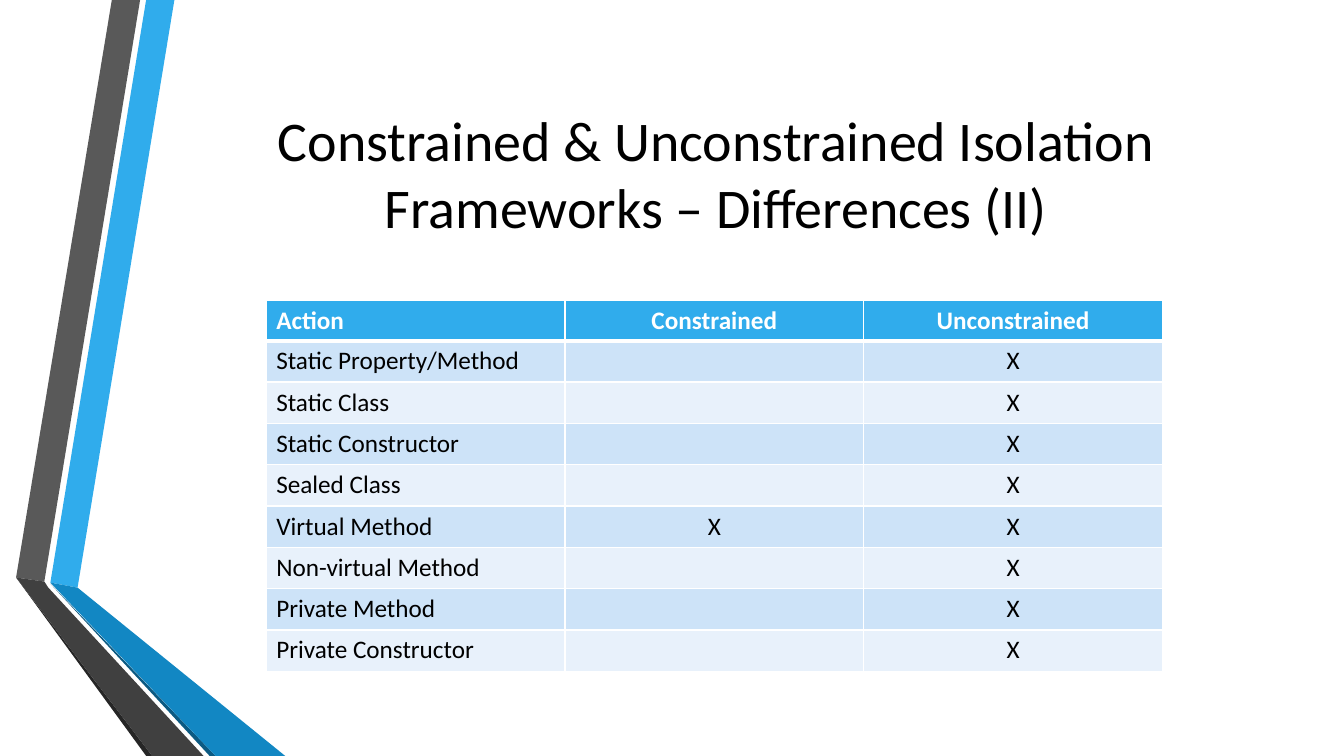
from dataclasses import dataclass

from lxml.etree import SubElement
from pptx import Presentation
from pptx.dml.color import RGBColor as RGB
from pptx.enum.text import MSO_ANCHOR as Anchor, PP_ALIGN as Align
from pptx.oxml.ns import qn
from pptx.util import Pt

PX = 9144


@dataclass(frozen=True)
class Theme:
    """Colours, font and type sizes of the slide."""
    font: str = "Calibri"
    title_size: int = 40
    table_size: int = 18
    text: str = "000000"
    white: str = "FFFFFF"
    accent: str = "30ACEC"
    accent_dark: str = "1287C3"
    accent_deep: str = "0C5A82"
    grey: str = "595959"
    grey_dark: str = "404040"
    grey_deep: str = "262626"
    bands: tuple = ("CDE3F8", "E8F1FB")


THEME = Theme()
RIBBONS = [
    (THEME.accent, [(34, 578), (61, 583), (157, 0), (129, 0)]),
    (THEME.grey, [(123, 0), (95, 0), (0, 573), (28, 577)]),
    (THEME.grey_deep, [(0, 573), (129, 750), (135, 750)]),
    (THEME.accent_deep, [(34, 579), (192, 750), (198, 750)]),
    (THEME.accent_dark, [(34, 578), (198, 750), (267, 750), (61, 583)]),
    (THEME.grey_dark, [(186, 750), (32, 583), (28, 577), (0, 573), (135, 750)]),
]
TITLE = "Constrained & Unconstrained Isolation Frameworks – Differences (II)"
ROWS = [
    ("Action", "Constrained", "Unconstrained"),
    ("Static Property/Method", "", "X"),
    ("Static Class", "", "X"),
    ("Static Constructor", "", "X"),
    ("Sealed Class", "", "X"),
    ("Virtual Method", "X", "X"),
    ("Non-virtual Method", "", "X"),
    ("Private Method", "", "X"),
    ("Private Constructor", "", "X"),
]


def write(tf, text, align, size, color, bold=False):
    """Put one formatted paragraph into a text frame."""
    p = tf.paragraphs[0]
    p.alignment = align
    if not text:
        p.font.size = Pt(size)
        return
    r = p.add_run()
    r.text = text
    for name, value in {"name": THEME.font, "size": Pt(size), "bold": bold}.items():
        setattr(r.font, name, value)
    r.font.color.rgb = RGB.from_string(color)


def add_ribbons(s, left, top):
    """Draw the two folded ribbons from the given corner."""
    for color, points in RIBBONS:
        (x, y), *rest = [(left + dx, top + dy) for dx, dy in points]
        builder = s.shapes.build_freeform(x, y, scale=PX)
        builder.add_line_segments(rest, close=True)
        sp = builder.convert_to_shape()
        sp.shadow.inherit = False
        sp.fill.solid()
        sp.fill.fore_color.rgb = RGB.from_string(color)
        sp.line.fill.background()


def add_title(s, left, top, width, height):
    """Place the centred title in its box."""
    tf = s.shapes.add_textbox(*(n * PX for n in (left, top, width, height))).text_frame
    for name, value in {"word_wrap": True, "vertical_anchor": Anchor.MIDDLE}.items():
        setattr(tf, name, value)
    write(tf, TITLE, Align.CENTER, THEME.title_size, THEME.text)


def set_borders(cell, widths):
    """Give each named cell side a white line of its width in points."""
    tc_pr = cell._tc.get_or_add_tcPr()
    for side, width in widths.items():
        ln = SubElement(tc_pr, qn(f"a:ln{side}"), w=str(Pt(width)))
        fill = SubElement(ln, qn("a:solidFill"))
        SubElement(fill, qn("a:srgbClr"), val=THEME.white)


def add_comparison(s, left, top, width, header_height, row_height):
    """Place the comparison table with a header and banded rows."""
    height = header_height + row_height * (len(ROWS) - 1)
    box = (n * PX for n in (left, top, width, height))
    table = s.shapes.add_table(len(ROWS), len(ROWS[0]), *box).table
    table.horz_banding = False
    for i, row in enumerate(ROWS):
        header = i == 0
        table.rows[i].height = (header_height if header else row_height) * PX
        fill = THEME.accent if header else THEME.bands[(i - 1) % 2]
        color = THEME.white if header else THEME.text
        borders = {"L": 1, "R": 1, "T": 3 if i == 1 else 1, "B": 3 if header else 1}
        for j, text in enumerate(row):
            cell = table.cell(i, j)
            set_borders(cell, borders)
            cell.fill.solid()
            cell.fill.fore_color.rgb = RGB.from_string(fill)
            align = Align.CENTER if j else Align.LEFT
            write(cell.text_frame, text, align, THEME.table_size, color, header)


def main():
    """Build and save the slide."""
    prs = Presentation()
    prs.slide_width, prs.slide_height = 1333 * PX, 750 * PX
    s = prs.slides.add_slide(prs.slide_layouts[6])
    add_ribbons(s, 16, 0)
    add_title(s, 162, 75, 1096, 192)
    add_comparison(s, 264, 298, 889, 36, 41)
    prs.save("out.pptx")


if __name__ == "__main__":
    main()
